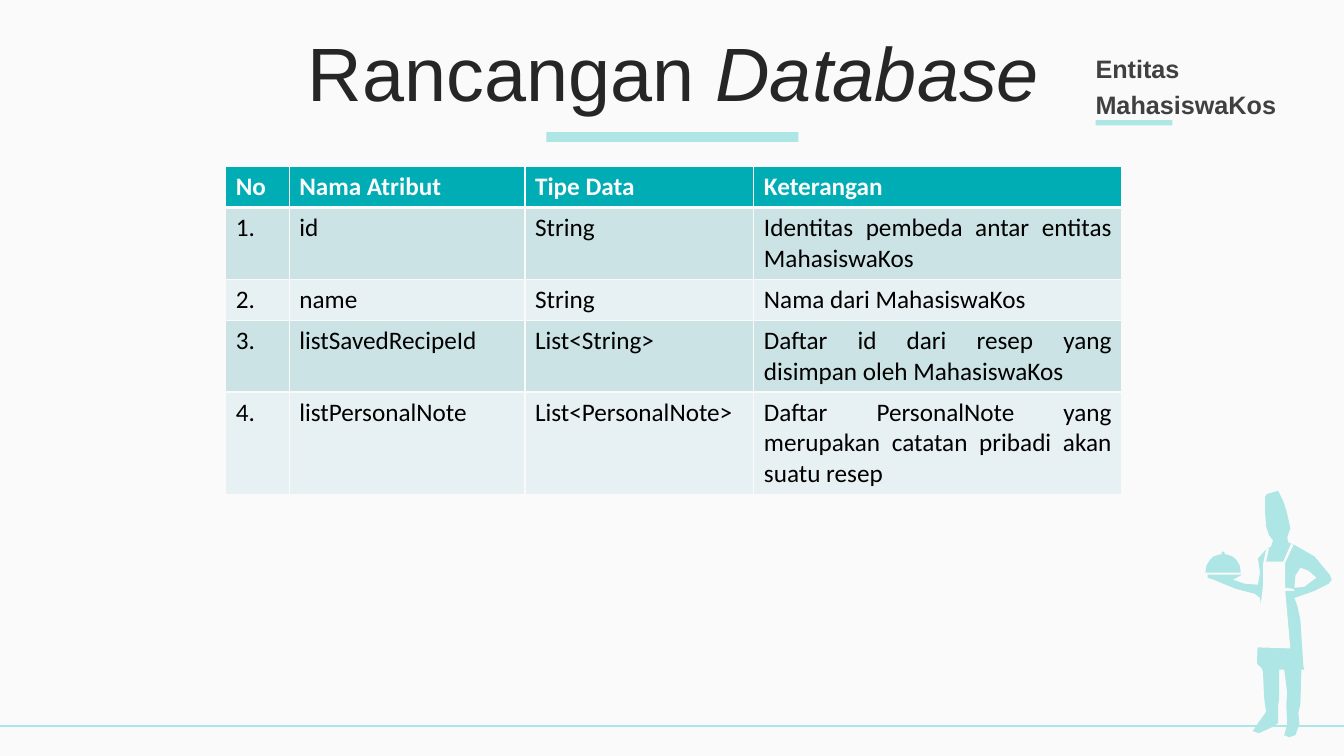
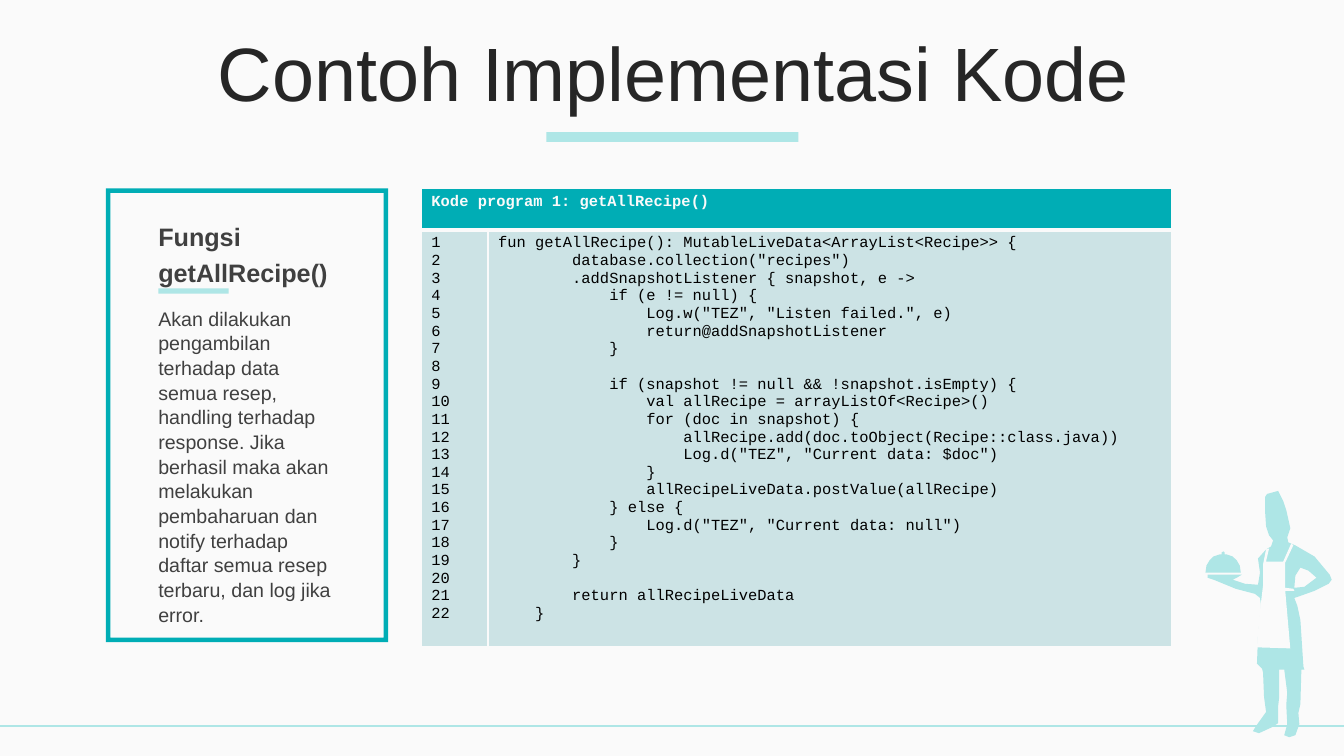
"""Build two slides: a database entity table and a code example."""
from dataclasses import dataclass
from typing import NamedTuple

from lxml import etree
from pptx import Presentation
from pptx.dml.color import RGBColor
from pptx.enum.shapes import MSO_CONNECTOR, MSO_SHAPE
from pptx.enum.text import MSO_ANCHOR, MSO_AUTO_SIZE, PP_ALIGN
from pptx.oxml.ns import qn
from pptx.util import Cm, Pt

RECT, FRAME = MSO_SHAPE.RECTANGLE, MSO_SHAPE.FRAME
STRAIGHT = MSO_CONNECTOR.STRAIGHT
TOP, MIDDLE = MSO_ANCHOR.TOP, MSO_ANCHOR.MIDDLE
NO_FIT = MSO_AUTO_SIZE.NONE
LEFT, CENTER, JUSTIFY = PP_ALIGN.LEFT, PP_ALIGN.CENTER, PP_ALIGN.JUSTIFY


@dataclass(frozen=True)
class Theme:
    """Colours, fonts and type sizes shared by the slides."""
    paper: RGBColor = RGBColor(0xFA, 0xFA, 0xFA)
    mint: RGBColor = RGBColor(0xAE, 0xE6, 0xE6)
    teal: RGBColor = RGBColor(0x00, 0xAD, 0xB5)
    band: RGBColor = RGBColor(0xCC, 0xE3, 0xE5)
    band_light: RGBColor = RGBColor(0xE7, 0xF1, 0xF3)
    ink: RGBColor = RGBColor(0x26, 0x26, 0x26)
    gray: RGBColor = RGBColor(0x40, 0x40, 0x40)
    black: RGBColor = RGBColor(0x00, 0x00, 0x00)
    sans: str = "Arial"
    table: str = "Calibri"
    code: str = "Courier New"
    title_size: int = 54
    heading_size: int = 18
    body_size: int = 14
    table_size: int = 18
    code_size: int = 11


class Box(NamedTuple):
    """A rectangle in centimetres."""
    x: float
    y: float
    w: float
    h: float

    def emu(self):
        """Return the four lengths as Cm."""
        return [Cm(v) for v in self]


T = Theme()
SLIDE_W, SLIDE_H = 33.87, 19.05
TITLE = Box(0.89, 0.94, 32.16, 2.01)
TITLE_BAR = Box(13.77, 3.33, 6.35, 0.25)
FOOTER_Y = 18.29
CHEF = Box(30.38, 12.37, 3.18, 6.2)
CHEF_UNITS = 125

CHEF_BODY = [
    (2, 83), (36, 83), (31, 86), (27, 88), (39, 92), (52, 93), (54, 81),
    (52, 67), (60, 58), (65, 55), (67, 49), (63, 44), (60, 35), (59, 20),
    (59, 6), (61, 3), (72, 0), (77, 10), (80, 19), (84, 37), (81, 46),
    (82, 51), (89, 54), (108, 65), (123, 83), (125, 88), (122, 92),
    (108, 99), (94, 104), (88, 106), (91, 114), (94, 128), (97, 174),
    (98, 177), (95, 177), (94, 211), (92, 220), (93, 231), (89, 242),
    (83, 244), (78, 242), (81, 231), (80, 212), (81, 200), (78, 177),
    (73, 177), (73, 204), (72, 213), (72, 230), (66, 234), (53, 240),
    (47, 238), (50, 233), (60, 219), (58, 204), (57, 180), (56, 176),
    (51, 171), (52, 145), (55, 113), (54, 106), (49, 102), (30, 97),
    (13, 90), (8, 88), (2, 86),
]
CHEF_ELBOW = [(88, 96), (98, 95), (110, 86), (102, 79), (94, 76), (89, 84)]
CHEF_APRON = [
    (85, 52), (77, 70), (60, 70), (63, 57), (60, 58), (57, 73), (57, 94),
    (53, 127), (51, 155), (84, 156), (79, 99), (88, 99), (87, 97), (79, 96),
    (79, 71), (87, 54),
]
CHEF_TRAY = [
    (18, 60), (16, 61), (16, 63), (14, 63), (8, 65), (4, 69), (1, 74),
    (0, 81), (35, 81), (34, 74), (31, 69), (27, 65), (21, 63), (19, 63),
    (19, 61),
]

ATTRIBUTES = [
    ("No", "Nama Atribut", "Tipe Data", "Keterangan"),
    ("1.", "id", "String", "Identitas pembeda antar entitas MahasiswaKos"),
    ("2.", "name", "String", "Nama dari MahasiswaKos"),
    ("3.", "listSavedRecipeId", "List<String>",
     "Daftar id dari resep yang disimpan oleh MahasiswaKos"),
    ("4.", "listPersonalNote", "List<PersonalNote>",
     "Daftar PersonalNote yang merupakan catatan pribadi akan suatu resep"),
]
PANEL_TEXT = (
    "Akan dilakukan pengambilan terhadap data semua resep, handling terhadap "
    "response. Jika berhasil maka akan melakukan pembaharuan dan notify "
    "terhadap daftar semua resep terbaru, dan log jika error."
)
CODE = """fun getAllRecipe(): MutableLiveData<ArrayList<Recipe>> {
        database.collection("recipes")
        .addSnapshotListener { snapshot, e ->
            if (e != null) {
                Log.w("TEZ", "Listen failed.", e)
                return@addSnapshotListener
            }

            if (snapshot != null && !snapshot.isEmpty) {
                val allRecipe = arrayListOf<Recipe>()
                for (doc in snapshot) {
                    allRecipe.add(doc.toObject(Recipe::class.java))
                    Log.d("TEZ", "Current data: $doc")
                }
                allRecipeLiveData.postValue(allRecipe)
            } else {
                Log.d("TEZ", "Current data: null")
            }
        }

        return allRecipeLiveData
    }"""


def set_font(p, name, size, color, bold=False):
    """Set the font of a whole paragraph."""
    p.font.name, p.font.size, p.font.bold = name, Pt(size), bold
    p.font.color.rgb = color


def write(tf, lines, font, align=LEFT, gap=0):
    """Write one paragraph per line, with a gap between paragraphs."""
    for i, line in enumerate(lines):
        p = tf.add_paragraph() if i else tf.paragraphs[0]
        p.text = line or " "
        p.alignment = align
        if i and gap:
            p.space_before = Pt(gap)
        set_font(p, *font)


def paint(sp, color):
    """Give a shape a flat fill without line or shadow."""
    sp.shadow.inherit = False
    sp.fill.solid()
    sp.fill.fore_color.rgb = color
    sp.line.fill.background()


def add_block(slide, box, color, kind=RECT):
    """Add a flat preset shape."""
    sp = slide.shapes.add_shape(kind, *box.emu())
    paint(sp, color)
    return sp


def add_text(slide, box, lines, font, anchor=TOP, gap=0):
    """Add a wrapping text box and return its frame."""
    tf = slide.shapes.add_textbox(*box.emu()).text_frame
    tf.word_wrap, tf.vertical_anchor = True, anchor
    write(tf, lines, font, gap=gap)
    return tf


def add_outline(slide, box, color, *contours):
    """Add a freeform of closed contours, scaled to the box width."""
    scale = Cm(box.w) / CHEF_UNITS
    first, *others = contours
    fb = slide.shapes.build_freeform(*first[0], scale=scale)
    fb.add_line_segments(first[1:], close=True)
    for contour in others:
        fb.move_to(*contour[0])
        fb.add_line_segments(contour[1:], close=True)
    paint(fb.convert_to_shape(Cm(box.x), Cm(box.y)), color)


def add_chef(slide, box):
    """Draw the cook with apron and tray."""
    add_outline(slide, box, T.mint, CHEF_BODY, CHEF_ELBOW)
    add_outline(slide, box, T.paper, CHEF_APRON)
    add_outline(slide, box, T.mint, CHEF_TRAY)


def add_base(prs, title_runs):
    """Add a slide with its title and shared decoration."""
    slide = prs.slides.add_slide(prs.slide_layouts[5])
    add_block(slide, TITLE_BAR, T.mint)
    ln = slide.shapes.add_connector(
        STRAIGHT, 0, Cm(FOOTER_Y), Cm(SLIDE_W), Cm(FOOTER_Y))
    ln.line.color.rgb, ln.line.width = T.mint, Pt(1.5)
    etree.SubElement(ln._element.spPr, qn("a:effectLst"))
    add_chef(slide, CHEF)

    sp = slide.shapes.title
    sp.left, sp.top, sp.width, sp.height = TITLE.emu()
    tf = sp.text_frame
    tf.auto_size, tf.vertical_anchor, tf.word_wrap = NO_FIT, MIDDLE, True
    p = tf.paragraphs[0]
    p.alignment, p.line_spacing = CENTER, 0.9
    set_font(p, T.sans, T.title_size, T.ink)
    for text, italic in title_runs:
        r = p.add_run()
        r.text = text
        if italic:
            r.font.italic = True
    return slide


def add_heading(slide, box, lines):
    """Add a bold heading with a short bar below it."""
    font = (T.sans, T.heading_size, T.gray, True)
    add_text(slide, box, lines, font, MIDDLE, gap=4)
    bar = Box(box.x + 0.25, box.y + 1.3, box.w * 0.355, 0.13)
    add_block(slide, bar, T.mint)


def add_panel(slide, box, heading, text):
    """Add a framed panel with a heading and a text."""
    x, w = box.x + 1.07, 5
    tf = add_text(slide, Box(x, box.y + 2.82, w, 8.03), [text],
                  (T.sans, T.body_size, T.gray))
    tf.paragraphs[0].line_spacing = 1.05
    add_heading(slide, Box(x, box.y + 1.22, w, 0.89), heading)
    add_block(slide, box, T.teal, FRAME).adjustments[0] = 0.016


def style_cell(cell, fill, header):
    """Set the borders and fill of a cell."""
    tc_pr = cell._tc.get_or_add_tcPr()
    for side in "LRTB":
        width = Pt(3 if header and side == "B" else 1)
        ln = etree.SubElement(tc_pr, qn(f"a:ln{side}"), w=str(width))
        solid = etree.SubElement(ln, qn("a:solidFill"))
        etree.SubElement(solid, qn("a:srgbClr"), val=str(T.paper))
    cell.fill.solid()
    cell.fill.fore_color.rgb = fill


def add_grid(slide, x, y, widths, heights, rows, name, size):
    """Add a banded table whose cells hold lists of lines."""
    box = Box(x, y, sum(widths), sum(heights))
    table = slide.shapes.add_table(
        len(rows), len(widths), *box.emu()).table
    table.horz_banding = False
    for col, w in zip(table.columns, widths):
        col.width = Cm(w)
    for i, (row, h) in enumerate(zip(rows, heights)):
        table.rows[i].height = Cm(h)
        header = i == 0
        fill = T.teal if header else (T.band if i % 2 else T.band_light)
        font = (name, size, T.paper if header else T.black, header)
        for j, lines in enumerate(row):
            cell = table.cell(i, j)
            style_cell(cell, fill, header)
            write(cell.text_frame, lines, font, JUSTIFY)
    return table


def database_slide(prs):
    """Build the slide on the entity attributes."""
    slide = add_base(prs, [("Rancangan ", False), ("Database", True)])
    rows = [[[text] for text in row] for row in ATTRIBUTES]
    add_grid(slide, 5.69, 4.19, [1.6, 5.94, 5.77, 9.27],
             [1.04, 1.8, 1.04, 1.8, 2.57], rows, T.table, T.table_size)
    add_heading(slide, Box(27.36, 1.73, 5.46, 0.89),
                ["Entitas", "MahasiswaKos"])


def code_slide(prs):
    """Build the slide with the code example."""
    slide = add_base(prs, [("Contoh Implementasi Kode", False)])
    add_panel(slide, Box(2.67, 4.75, 7.11, 11.43),
              ["Fungsi", "getAllRecipe()"], PANEL_TEXT)
    code = CODE.split("\n")
    numbers = [str(n + 1) for n in range(len(code))]
    rows = [[["Kode program 1: getAllRecipe()"], []], [numbers, code]]
    table = add_grid(slide, 10.62, 4.75, [1.68, 17.22], [1.04, 10.49],
                     rows, T.code, T.code_size)
    table.cell(0, 0).merge(table.cell(0, 1))


def main():
    """Build and save the presentation."""
    prs = Presentation()
    prs.slide_width, prs.slide_height = Cm(SLIDE_W), Cm(SLIDE_H)
    bg = prs.slide_master.background.fill
    bg.solid()
    bg.fore_color.rgb = T.paper
    database_slide(prs)
    code_slide(prs)
    prs.save("out.pptx")


if __name__ == "__main__":
    main()
